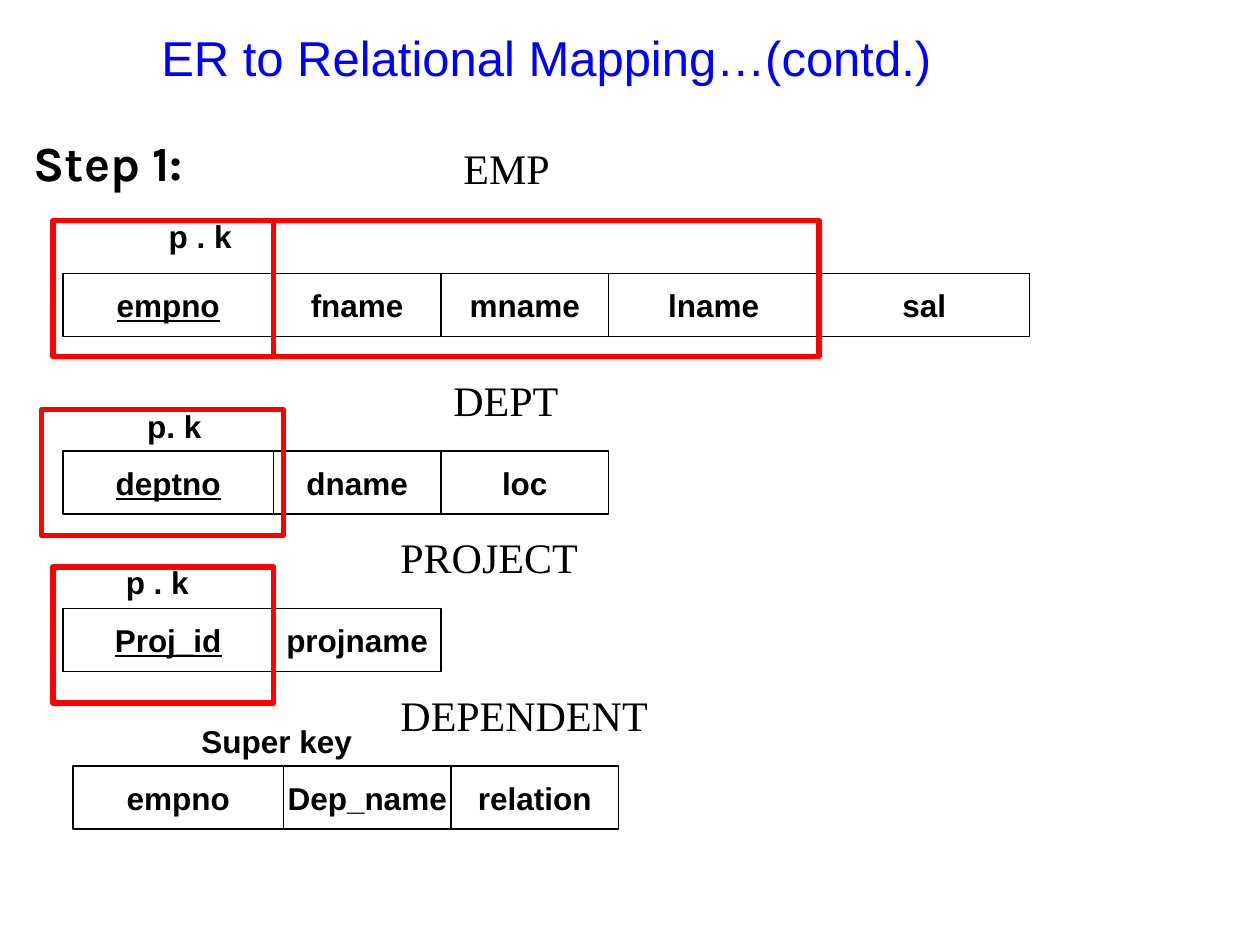
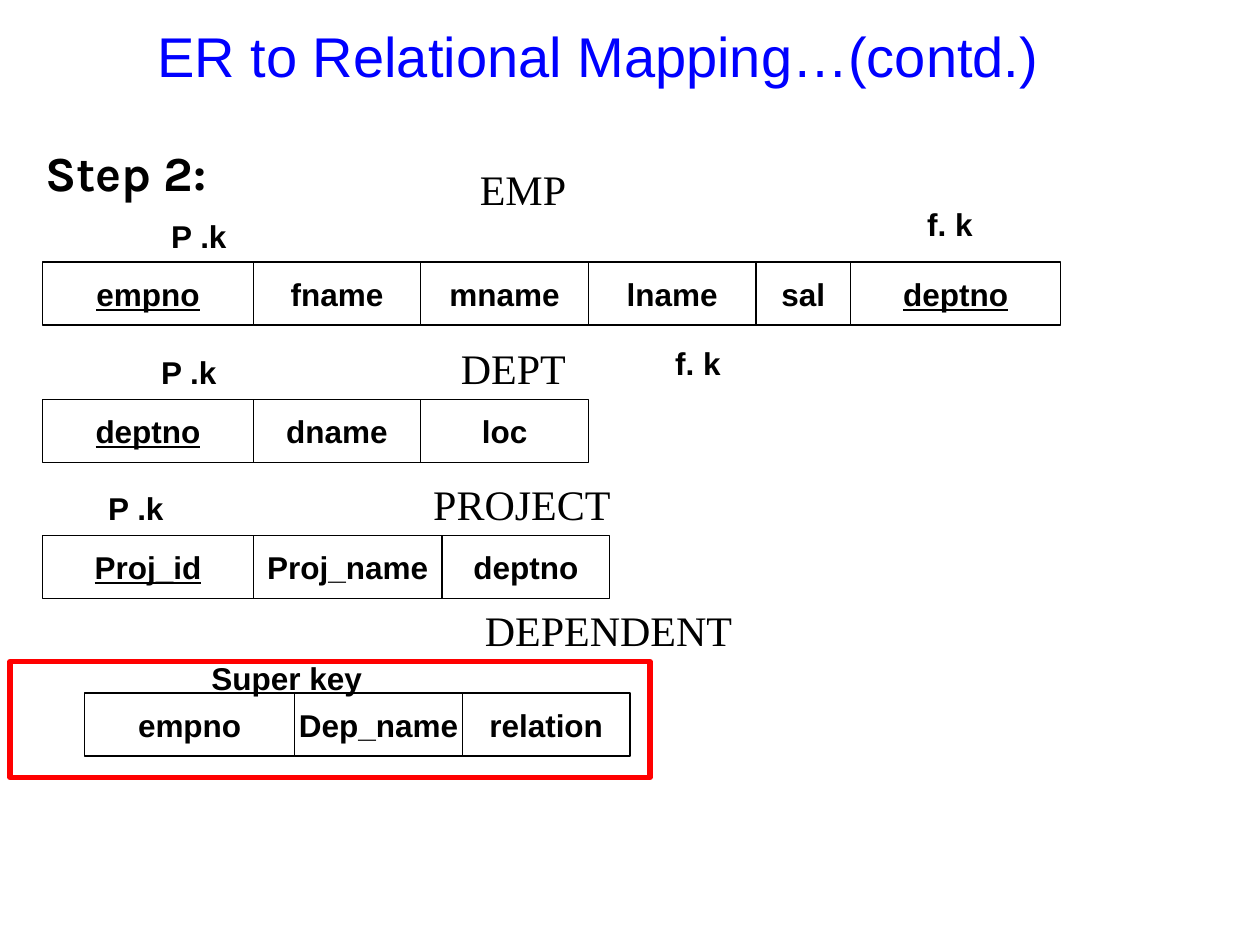
from pptx import Presentation
from pptx.dml.color import RGBColor
from pptx.enum import shapes, text
from pptx.util import Inches, Pt

COLORS = {"title": "0000FF", "ink": "000000", "frame": "FF0000"}
TITLE = "ER to Relational Mapping…(contd.)"

# Column widths and row height, in inches
WIDE, NORMAL, MEDIUM, NARROW = 1.67, 1.33, 1.5, 0.75
ROW_HEIGHT = 0.5

# Field: (name, width, underlined)
EMPNO = ("empno", WIDE, True)
DEPTNO = ("deptno", WIDE, True)
PROJ_ID = ("Proj_id", WIDE, True)
FIRST_NAMES = [("fname", NORMAL, False), ("mname", NORMAL, False)]
DEPT_FIELDS = [DEPTNO, ("dname", NORMAL, False), ("loc", NORMAL, False)]
DEPENDENT_FIELDS = [("empno", WIDE, False), ("Dep_name", NORMAL, False),
                    ("relation", NORMAL, False)]

# Relation: (name, name position, row position, fields)
# Key label: (wording, left, top, width); frame: (left, top, width, height)
STEPS = [
    {
        "title": (0.25, 0.17, 8.17, 0.57, 28),
        "step": ("Step 1:", 0.17, 1),
        "relations": [
            ("EMP", (3.58, 1.08), (0.5, 2.17),
             [EMPNO, *FIRST_NAMES, ("lname", WIDE, False), ("sal", WIDE, False)]),
            ("DEPT", (3.5, 2.92), (0.5, 3.58), DEPT_FIELDS),
            ("PROJECT", (3.08, 4.17), (0.5, 4.83),
             [PROJ_ID, ("projname", NORMAL, False)]),
            ("DEPENDENT", (3.08, 5.42), (0.58, 6.08), DEPENDENT_FIELDS),
        ],
        "frames": [(0.42, 1.75, 1.75, 1.08), (0.33, 3.25, 1.92, 1),
                   (2.17, 1.75, 4.33, 1.08), (0.42, 4.5, 1.75, 1.08)],
        "key_labels": [("p . k", 1.24, 1.67, 0.83), ("p. k", 1.07, 3.18, 0.83),
                       ("p . k", 0.9, 4.42, 0.83), ("Super key", 1.5, 5.68, 2)],
    },
    {
        "title": (0.25, 0, 9, 0.87, 32),
        "step": ("Step 2:", 0.26, 1.08),
        "relations": [
            ("EMP", (3.71, 1.25), (0.34, 2.08),
             [EMPNO, *FIRST_NAMES, ("lname", NORMAL, False),
              ("sal", NARROW, False), DEPTNO]),
            ("DEPT", (3.56, 2.67), (0.34, 3.17), DEPT_FIELDS),
            ("PROJECT", (3.34, 3.75), (0.34, 4.25),
             [PROJ_ID, ("Proj_name", MEDIUM, False), ("deptno", NORMAL, False)]),
            ("DEPENDENT", (3.75, 4.75), (0.67, 5.5), DEPENDENT_FIELDS),
        ],
        "frames": [(0.08, 5.25, 5.08, 0.92)],
        "key_labels": [("f. k", 7.26, 1.58, 0.83), ("P .k", 1.18, 2.75, 0.83),
                       ("P .k", 1.26, 1.67, 0.83), ("P .k", 0.76, 3.83, 0.83),
                       ("f. k", 5.26, 2.68, 0.83), ("Super key", 1.58, 5.18, 2)],
    },
]


def write(shape, wording, size, face="Arial", color="ink", bold=False,
          underline=False, centred=False, wrap=True):
    frame = shape.text_frame
    frame.word_wrap = wrap
    frame.vertical_anchor = (text.MSO_ANCHOR.MIDDLE if centred
                             else text.MSO_ANCHOR.TOP)
    para = frame.paragraphs[0]
    para.text = wording
    para.alignment = text.PP_ALIGN.CENTER if centred else text.PP_ALIGN.LEFT
    font = para.font
    font.name, font.size, font.bold = face, Pt(size), bold
    font.underline = underline
    font.color.rgb = RGBColor.from_string(COLORS[color])


def add_label(page, wording, left, top, width, height, size, **style):
    box = page.shapes.add_textbox(*map(Inches, (left, top, width, height)))
    write(box, wording, size, **style)


def add_outline(page, left, top, width, height, color, weight):
    box = page.shapes.add_shape(shapes.MSO_SHAPE.RECTANGLE,
                                *map(Inches, (left, top, width, height)))
    box.shadow.inherit = False
    box.fill.background()
    box.line.color.rgb = RGBColor.from_string(COLORS[color])
    box.line.width = Pt(weight)
    return box


def add_relation(page, name, name_at, row_at, fields):
    add_label(page, name, *name_at, 2.43, 0.5, 24, face="Times New Roman")
    left, top = row_at
    for field, width, underlined in fields:
        cell = add_outline(page, left, top, width, ROW_HEIGHT, "ink", 0.75)
        write(cell, field, 18, bold=True, underline=underlined,
              centred=True, wrap=False)
        left += width


def add_step(deck, step):
    page = deck.slides.add_slide(deck.slide_layouts[6])
    add_label(page, TITLE, *step["title"], color="title", centred=True)
    wording, left, top = step["step"]
    add_label(page, wording, left, top, 1.67, 0.56, 28, face="Karla", bold=True)
    for relation in step["relations"]:
        add_relation(page, *relation)
    for frame in step["frames"]:
        add_outline(page, *frame, "frame", 3)
    for label in step["key_labels"]:
        add_label(page, *label, 0.4, 18, bold=True)


def main():
    deck = Presentation()
    deck.slide_width, deck.slide_height = Inches(10), Inches(7.5)
    for step in STEPS:
        add_step(deck, step)
    deck.save("out.pptx")


if __name__ == "__main__":
    main()
